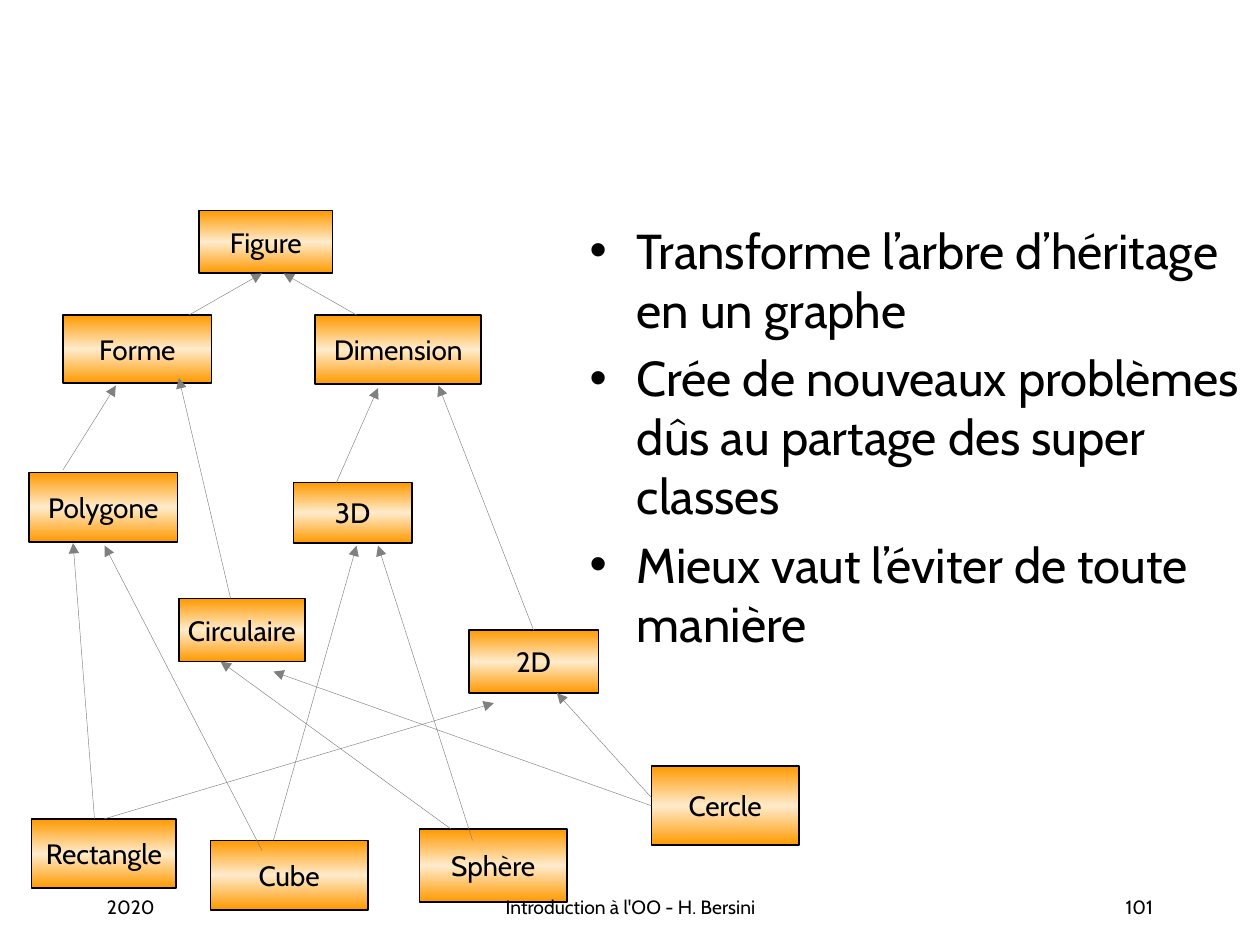
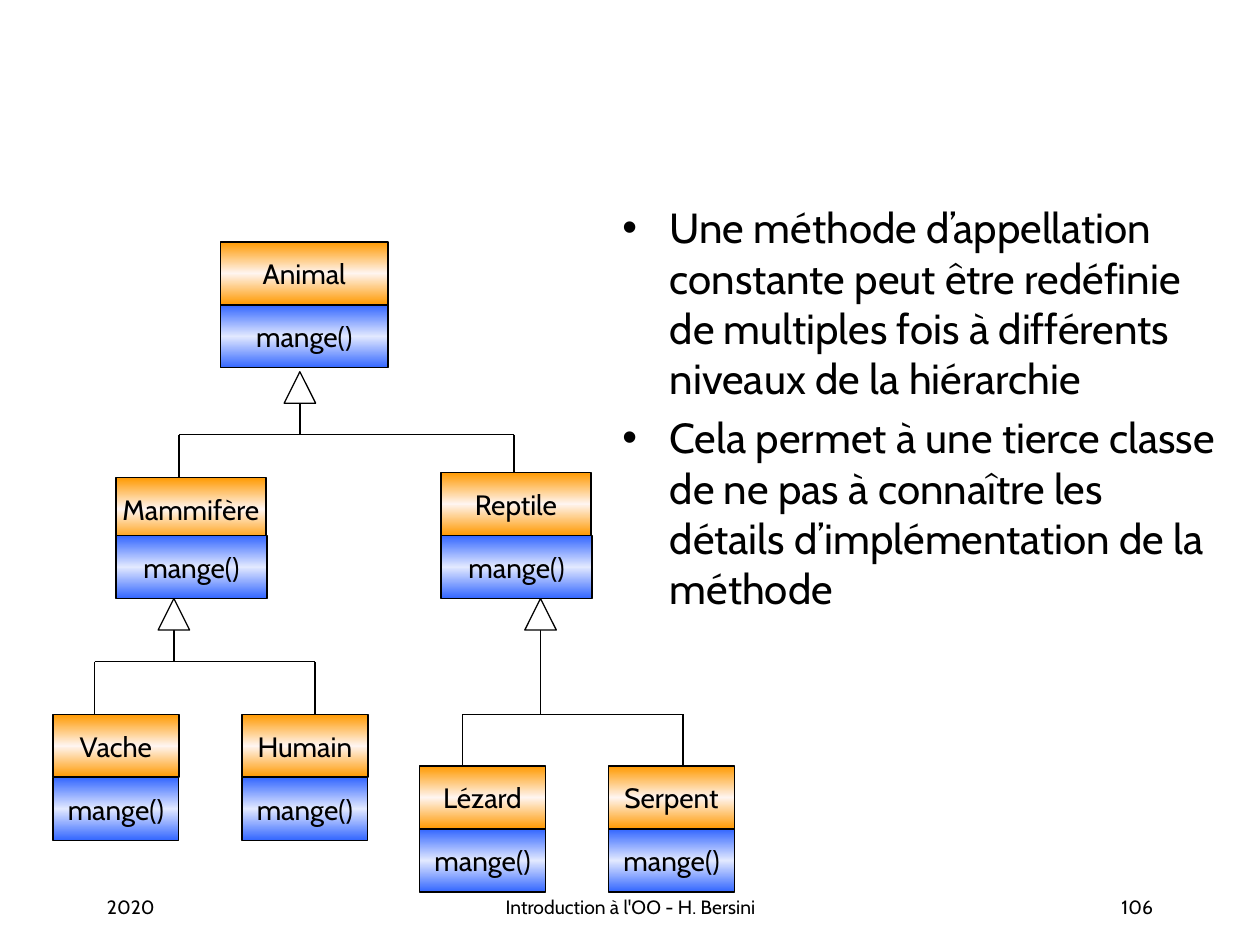
from collections import namedtuple
from math import dist

from lxml import etree
from copy import deepcopy
from pptx import Presentation
from pptx.dml.color import RGBColor
from pptx.enum import shapes, text
from pptx.oxml import ns
from pptx.util import Inches, Pt

# Shared look
BLACK = RGBColor(0x00, 0x00, 0x00)
WHITE = RGBColor(0xFF, 0xFF, 0xFF)
GREY = RGBColor(0x80, 0x80, 0x80)
ORANGE = RGBColor(0xFF, 0x99, 0x00)
CREAM = RGBColor(0xFF, 0xEB, 0xCC)
PALE = RGBColor(0xFF, 0xF5, 0xF0)
BLUE = RGBColor(0x33, 0x66, 0xFF)
ICE = RGBColor(0xE2, 0xE9, 0xFF)
FONT = "Cabin"
LABEL_FRAME = {"word_wrap": False, "vertical_anchor": text.MSO_ANCHOR.MIDDLE}
BODY_FRAME = {"word_wrap": True, "auto_size": text.MSO_AUTO_SIZE.NONE}

Box = namedtuple("Box", "left top width height")
FOOTER_BOX = Box(0.75, 7.06, 8.5, 0.28)
DIAGRAM_BOX = Box(0, 1.5, 6.5, 6)
CLASS_HEIGHT = 0.5
ARROW_SIZE = 0.25
JOIN_REACH = 0.03

# Slide 1: class boxes and inheritance arrows, relative to the diagram box
FIGURE_CLASSES = {
    "Figure": Box(1.58, 0.17, 1.06, 0.5),
    "Dimension": Box(2.5, 1, 1.32, 0.55),
    "Forme": Box(0.5, 1, 1.18, 0.54),
    "Polygone": Box(0.23, 2.25, 1.18, 0.55),
    "Circulaire": Box(1.42, 3.25, 1, 0.5),
    "3D": Box(2.33, 2.33, 0.94, 0.48),
    "2D": Box(3.72, 3.5, 1.03, 0.5),
    "Cube": Box(1.67, 5.17, 1.25, 0.55),
    "Sphère": Box(3.33, 5.08, 1.17, 0.58),
    "Cercle": Box(5.17, 4.58, 1.17, 0.63),
    "Rectangle": Box(0.25, 5, 1.15, 0.55),
}
# child, start, parent, end
INHERITANCE = [
    ("Forme", (1.5, 1), "Figure", (2.08, 0.67)),
    ("Dimension", (2.83, 1), "Figure", (2.25, 0.67)),
    ("Polygone", (0.5, 2.23), "Forme", (0.92, 1.56)),
    ("Circulaire", (1.83, 3.25), "Forme", (1.42, 1.5)),
    ("3D", (2.67, 2.33), "Dimension", (3, 1.58)),
    ("2D", (4.25, 3.5), "Dimension", (3.48, 1.56)),
    ("Rectangle", (0.75, 5), "Polygone", (0.58, 2.81)),
    ("Cube", (2.08, 5.25), "Polygone", (0.83, 2.83)),
    ("Rectangle", (0.83, 5), "2D", (3.92, 4.08)),
    ("Cube", (2.17, 5.17), "3D", (2.83, 2.83)),
    ("Sphère", (3.75, 5.17), "3D", (3, 2.83)),
    ("Sphère", (3.58, 5.08), "Circulaire", (1.75, 3.75)),
    ("Cercle", (5.17, 4.83), "2D", (4.42, 4)),
    ("Cercle", (5.17, 4.92), "Circulaire", (2.17, 3.83)),
]
GRAPH_POINTS = [
    "Transforme l’arbre d’héritage en un graphe",
    "Crée de nouveaux problèmes dûs au partage des super classes",
    "Mieux vaut l’éviter de toute manière",
]

# Slide 2: name, left, top, width of class, width of its method
ANIMAL_CLASSES = [
    ("Animal", 1.75, 0.42, 1.33, 1.33),
    ("Mammifère", 0.92, 2.29, 1.19, 1.2),
    ("Reptile", 3.5, 2.25, 1.19, 1.2),
    ("Vache", 0.42, 4.17, 1, 1),
    ("Humain", 1.92, 4.17, 1, 1),
    ("Lézard", 3.33, 4.58, 1, 1),
    ("Serpent", 4.83, 4.58, 1, 1),
]
METHOD_TOPS = {"Mammifère": 2.75}
# apex x, apex y, bar y, bar left, bar right, foot y
BRANCHES = [
    (2.38, 1.45, 1.95, 1.42, 4.08, 2.29),
    (1.38, 3.25, 3.75, 0.75, 2.5, 4.17),
    (4.29, 3.25, 4.17, 3.67, 5.42, 4.58),
]
METHOD_POINTS = [
    "Une méthode d’appellation constante peut être redéfinie de multiples "
    "fois à différents niveaux de la hiérarchie",
    "Cela permet à une tierce classe de ne pas à connaître les détails "
    "d’implémentation de la méthode",
]


def apply(target, values):
    for name, value in values.items():
        setattr(target, name, value)


def inside(area, part):
    """Shift a part's box by the corner of its area."""
    return part._replace(left=area.left + part.left, top=area.top + part.top)


def emu(box):
    return [Inches(length) for length in box]


def write(paragraph, words, size, align=None):
    run = paragraph.add_run()
    run.text = words
    apply(run.font, {"name": FONT, "size": Pt(size)})
    run.font.color.rgb = BLACK
    if align is not None:
        paragraph.alignment = align


def shade(shape, edge, middle):
    """Vertical gradient: edge colour, middle colour, edge colour."""
    shape.fill.gradient()
    shape.fill.gradient_angle = 90
    first, second = shape.fill.gradient_stops
    first.color.rgb, first.position = edge, 0
    second.color.rgb, second.position = middle, 0.5
    stops = shape._element.spPr.find(".//" + ns.qn("a:gsLst"))
    last = deepcopy(stops[0])
    last.set("pos", "100000")
    stops.append(last)


def add_label(slide, box, words, edge, middle, weight=1):
    label = slide.shapes.add_shape(shapes.MSO_SHAPE.RECTANGLE, *emu(box))
    label.shadow.inherit = False
    shade(label, edge, middle)
    label.line.color.rgb = BLACK
    label.line.width = Pt(weight)
    apply(label.text_frame, LABEL_FRAME)
    write(label.text_frame.paragraphs[0], words, 16, text.PP_ALIGN.CENTER)
    return label


def add_line(slide, area, start, end, color=BLACK, weight=0.75, arrow=False):
    ends = [Inches(corner + offset)
            for point in (start, end)
            for corner, offset in zip((area.left, area.top), point)]
    line = slide.shapes.add_connector(shapes.MSO_CONNECTOR.STRAIGHT, *ends)
    line.line.color.rgb = color
    line.line.width = Pt(weight)
    properties = line._element.spPr
    if arrow:
        etree.SubElement(properties.find(ns.qn("a:ln")), ns.qn("a:tailEnd"),
                         type="triangle")
    etree.SubElement(properties, ns.qn("a:effectLst"))
    return line


def joined_side(box, point):
    """Index of the side whose middle lies at the point, if any."""
    center, middle = box.left + box.width / 2, box.top + box.height / 2
    sides = [(center, box.top), (box.left, middle),
             (center, box.top + box.height), (box.left + box.width, middle)]
    return next((i for i, side in enumerate(sides)
                 if dist(side, point) <= JOIN_REACH), None)


def add_points(slide, box, points, size):
    body = slide.placeholders[1]
    apply(body, dict(zip(box._fields, emu(box))))
    frame = body.text_frame
    apply(frame, BODY_FRAME)
    for index, point in enumerate(points):
        paragraph = frame.add_paragraph() if index else frame.paragraphs[0]
        write(paragraph, point, size)


def add_footer(slide, area, number):
    entries = [
        (Box(0, 0, 2.08, area.height), "2020", text.PP_ALIGN.LEFT),
        (Box(2.67, 0, 3.17, area.height), "Introduction à l'OO - H. Bersini",
         text.PP_ALIGN.CENTER),
        (Box(6.42, 0, 2.08, area.height), number, text.PP_ALIGN.RIGHT),
    ]
    for part, words, align in entries:
        entry = slide.shapes.add_textbox(*emu(inside(area, part)))
        entry.text_frame.word_wrap = True
        write(entry.text_frame.paragraphs[0], words, 11, align)


def draw_figure_graph(slide, area):
    labels = {name: add_label(slide, inside(area, box), name, ORANGE, CREAM)
              for name, box in FIGURE_CLASSES.items()}
    for child, start, parent, end in INHERITANCE:
        arrow = add_line(slide, area, start, end, GREY, 0.25, arrow=True)
        for name, point, connect in ((child, start, arrow.begin_connect),
                                     (parent, end, arrow.end_connect)):
            side = joined_side(FIGURE_CLASSES[name], point)
            if side is not None:
                connect(labels[name], side)


def draw_branch(slide, area, x, apex, bar, left, right, foot):
    """Hollow triangle with a stem, a bar and two drops."""
    add_line(slide, area, (x, apex + ARROW_SIZE), (x, bar))
    add_line(slide, area, (left, bar), (right, bar))
    for drop in (left, right):
        add_line(slide, area, (drop, bar), (drop, foot))
    tip = Box(x - ARROW_SIZE / 2, apex, ARROW_SIZE, ARROW_SIZE)
    triangle = slide.shapes.add_shape(shapes.MSO_SHAPE.ISOSCELES_TRIANGLE,
                                      *emu(inside(area, tip)))
    triangle.shadow.inherit = False
    triangle.fill.solid()
    triangle.fill.fore_color.rgb = WHITE
    triangle.line.color.rgb = BLACK
    triangle.line.width = Pt(0.75)


def draw_animal_tree(slide, area):
    for branch in BRANCHES:
        draw_branch(slide, area, *branch)
    for name, left, top, class_width, method_width in ANIMAL_CLASSES:
        title = Box(left, top, class_width, CLASS_HEIGHT)
        method = Box(left, METHOD_TOPS.get(name, top + CLASS_HEIGHT),
                     method_width, CLASS_HEIGHT)
        add_label(slide, inside(area, title), name, ORANGE, PALE)
        add_label(slide, inside(area, method), "mange()", BLUE, ICE, 0.75)


def build_slide(deck, points_box, points, size, draw_diagram, number):
    slide = deck.slides.add_slide(deck.slide_layouts[1])
    title = slide.shapes.title._element
    title.getparent().remove(title)
    add_points(slide, points_box, points, size)
    draw_diagram(slide, DIAGRAM_BOX)
    add_footer(slide, FOOTER_BOX, number)


def main():
    deck = Presentation()
    deck.slide_width, deck.slide_height = Inches(10), Inches(7.5)
    build_slide(deck, Box(4.58, 1.7, 5.42, 5.5), GRAPH_POINTS, 28,
                draw_figure_graph, "101")
    build_slide(deck, Box(4.84, 1.55, 4.92, 5.5), METHOD_POINTS, 24,
                draw_animal_tree, "106")
    deck.save("out.pptx")


if __name__ == "__main__":
    main()
